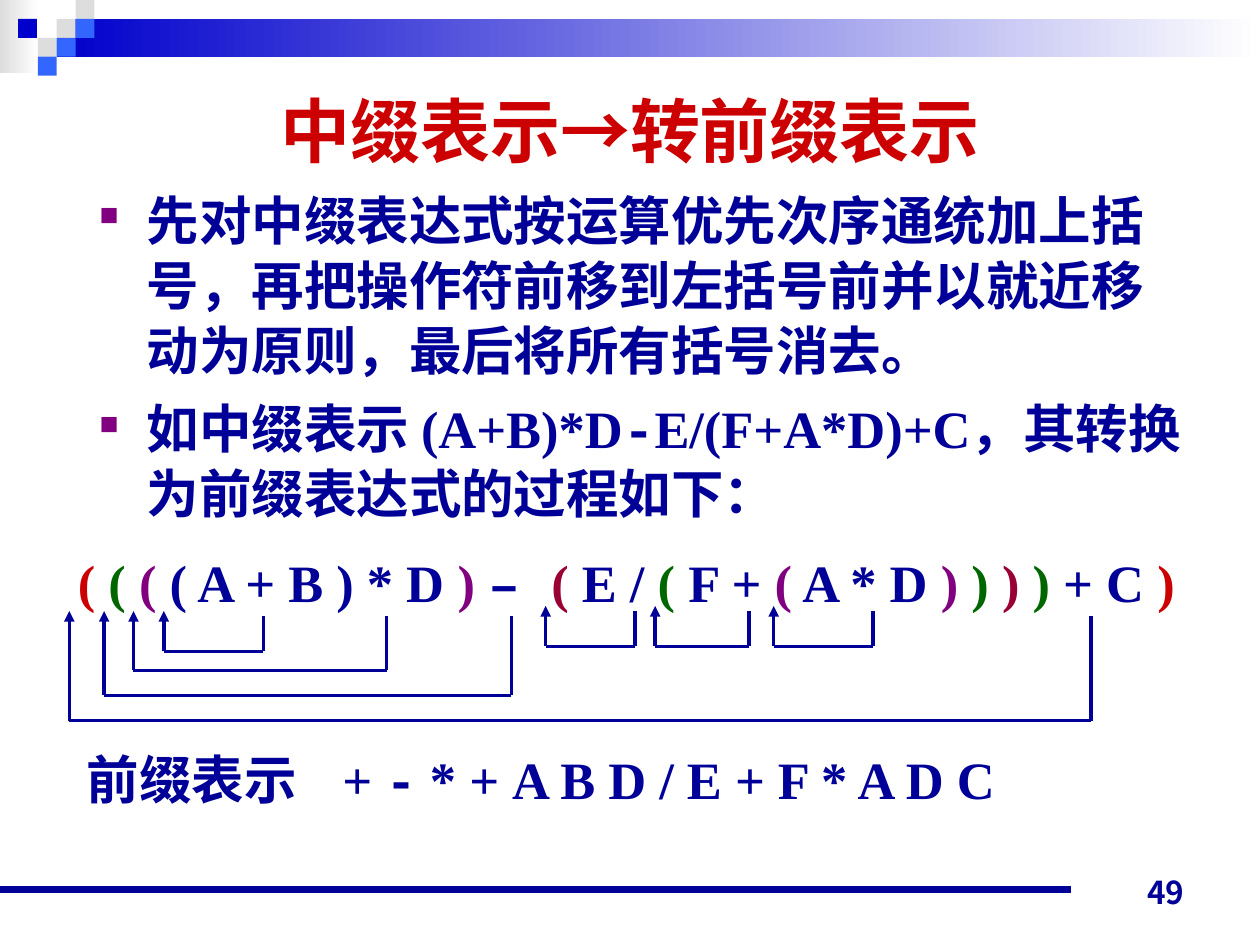
from dataclasses import dataclass

from lxml import etree
from pptx import Presentation
from pptx.dml.color import RGBColor
from pptx.enum import shapes, text
from pptx.oxml import ns
from pptx.util import Pt

COLORS = {
    "navy": "000099", "red": "CC0000", "green": "006600", "purple": "800080",
    "wine": "990033", "grey": "DDDDDD", "blue": "0000CC", "sky": "3366FF",
    "white": "FFFFFF",
}
SANS, SERIF, MONO = "Arial", "Times New Roman", "Courier New"
CJK = "Noto Sans CJK SC"
CELL = 10.8
LINE_PITCH = 37


@dataclass(frozen=True)
class Span:
    words: str
    color: str = "navy"
    face: str = SERIF


@dataclass(frozen=True)
class Move:
    """An operator moving down, left and up to its opening parenthesis."""
    target: float
    operator: float
    floor: float
    tip: float = 349.2


TITLE = [Span("中缀表示", "red", SANS), Span("→", "red", MONO),
         Span("转前缀表示", "red", SANS)]
BULLETS = [
    [Span("先对中缀表达式按运算优先次序通统加上括号，再把操作符前移到左括号前"
          "并以就近移动为原则，最后将所有括号消去。", face=SANS)],
    [Span("如中缀表示 ", face=CJK), Span("(A+B)*D"), Span("-", face=MONO),
     Span("E/(F+A*D)+C"), Span("，其转换为前缀表达式的过程如下：", face=CJK)],
]
FORMULA = [
    Span("( ", "red"), Span("( ", "green"), Span("(", "purple"),
    Span(" ( A + B ) * D "), Span(") ", "purple"), Span("– ", face=MONO),
    Span("(", "wine"), Span(" E / "), Span("(", "green"), Span(" F + "),
    Span("(", "purple"), Span(" A * D "), Span(") ", "purple"),
    Span(") ", "green"), Span(") ", "wine"), Span(")", "green"),
    Span(" + C "), Span(")", "red"),
]
RESULT = [Span("前缀表示\t+ "), Span("-", face=MONO),
          Span(" * + A B D / E + F * A D C")]
MOVES = [
    Move(93.6, 150.5, 372.2), Move(76.3, 221, 383), Move(59.5, 292.3, 397.4),
    Move(39.6, 623.5, 411.8),
    Move(311.8, 362.9, 369.4, 346.3), Move(374.4, 428, 369.4, 346.3),
    Move(442.1, 499, 369.4, 346.3),
]
# Column, row and colour of each corner square
SQUARES = [(3, 1, "grey"), (4, 0, "grey"), (4, 1, "sky"), (2, 2, "grey"),
           (1, 1, "blue"), (3, 2, "sky"), (2, 3, "sky")]


def rgb(name: str) -> RGBColor:
    return RGBColor.from_string(COLORS[name])


def add_block(page, left: float, top: float, width: float, height: float,
              color: str, fade: bool = False) -> None:
    block = page.shapes.add_shape(shapes.MSO_SHAPE.RECTANGLE, Pt(left), Pt(top),
                                  Pt(width), Pt(height))
    block.shadow.inherit = False
    block.line.fill.background()
    if fade:
        block.fill.gradient()
        block.fill.gradient_angle = 0
        for stop, name in zip(block.fill.gradient_stops, (color, "white")):
            stop.color.rgb = rgb(name)
    else:
        block.fill.solid()
        block.fill.fore_color.rgb = rgb(color)


def add_line(page, start: tuple, end: tuple, weight: float,
             arrow: bool = False) -> None:
    line = page.shapes.add_connector(shapes.MSO_CONNECTOR.STRAIGHT,
                                     *(Pt(value) for value in start + end))
    line.line.color.rgb = rgb("navy")
    line.line.width = Pt(weight)
    if arrow:
        etree.SubElement(line.line._get_or_add_ln(), ns.qn("a:tailEnd"),
                         type="triangle")
    etree.SubElement(line._element.spPr, ns.qn("a:effectLst"))


def add_move(page, move: Move) -> None:
    corner, turn = (move.target, move.floor), (move.operator, move.floor)
    add_line(page, corner, (move.target, move.tip), 2, arrow=True)
    add_line(page, turn, corner, 1.75)
    add_line(page, turn, (move.operator, move.tip + 2.9), 2)


def add_box(page, left: float, top: float, width: float, height: float):
    box = page.shapes.add_textbox(Pt(left), Pt(top), Pt(width), Pt(height))
    box.text_frame.word_wrap = True
    return box.text_frame


def fill_paragraph(para, spans: list[Span], size: float) -> None:
    para.font.size = Pt(size)
    para.font.bold = True
    for span in spans:
        run = para.add_run()
        run.text = span.words
        run.font.name = span.face
        run.font.color.rgb = rgb(span.color)
        etree.SubElement(run.font._element, ns.qn("a:ea"), typeface=CJK)


def add_bullet(para) -> None:
    props = para._p.get_or_add_pPr()
    props.set("marL", str(Pt(27)))
    props.set("indent", str(-Pt(27)))
    color = etree.SubElement(props, ns.qn("a:buClr"))
    etree.SubElement(color, ns.qn("a:srgbClr"), val=COLORS["purple"])
    etree.SubElement(props, ns.qn("a:buSzPct"), val="50000")
    etree.SubElement(props, ns.qn("a:buChar"), char="■")


def add_tab(para, position: float) -> None:
    tabs = etree.SubElement(para._p.get_or_add_pPr(), ns.qn("a:tabLst"))
    etree.SubElement(tabs, ns.qn("a:tab"), pos=str(Pt(position)), algn="l")


def add_decoration(page) -> None:
    add_block(page, 0, 0, 22.3, 41.8, "grey", fade=True)
    add_block(page, 3 * CELL, CELL, 720 - 3 * CELL, 2 * CELL, "blue", fade=True)
    for column, row, color in SQUARES:
        add_block(page, column * CELL if column > 1 else 10.3, row * CELL,
                  CELL, CELL, color)
    add_line(page, (0, 508.3), (612, 508.3), 4.5)


def add_title(page) -> None:
    title = page.shapes.title
    title.left, title.top, title.width, title.height = (
        Pt(36), Pt(36), Pt(648), Pt(75.6))
    title.text_frame.vertical_anchor = text.MSO_ANCHOR.MIDDLE
    para = title.text_frame.paragraphs[0]
    para.alignment = text.PP_ALIGN.CENTER
    fill_paragraph(para, TITLE, 40)


def add_body(page) -> None:
    frame = add_box(page, 49.7, 103, 633.6, 204.5)
    for index, spans in enumerate(BULLETS):
        para = frame.add_paragraph() if index else frame.paragraphs[0]
        add_bullet(para)
        para.line_spacing = Pt(LINE_PITCH)
        if index:
            para.space_before = Pt(8)
        fill_paragraph(para, spans, 30)


def add_expressions(page) -> None:
    formula = add_box(page, 37.4, 309.6, 648.7, 43.2).paragraphs[0]
    result = add_box(page, 42.5, 422.6, 541.4, 43.2).paragraphs[0]
    add_tab(result, 146)
    for para, spans in ((formula, FORMULA), (result, RESULT)):
        para.line_spacing = Pt(LINE_PITCH)
        fill_paragraph(para, spans, 30)


def add_page_number(page) -> None:
    frame = add_box(page, 516.2, 488.2, 167.8, 36)
    frame.vertical_anchor = text.MSO_ANCHOR.BOTTOM
    para = frame.paragraphs[0]
    para.alignment = text.PP_ALIGN.RIGHT
    fill_paragraph(para, [Span("49", face="Noto Sans CJK JP")], 18)


def main() -> None:
    deck = Presentation()
    deck.slide_width, deck.slide_height = Pt(720), Pt(540)
    page = deck.slides.add_slide(deck.slide_layouts[5])
    add_decoration(page)
    add_title(page)
    add_body(page)
    add_expressions(page)
    for move in MOVES:
        add_move(page, move)
    add_page_number(page)
    deck.save("out.pptx")


if __name__ == "__main__":
    main()
